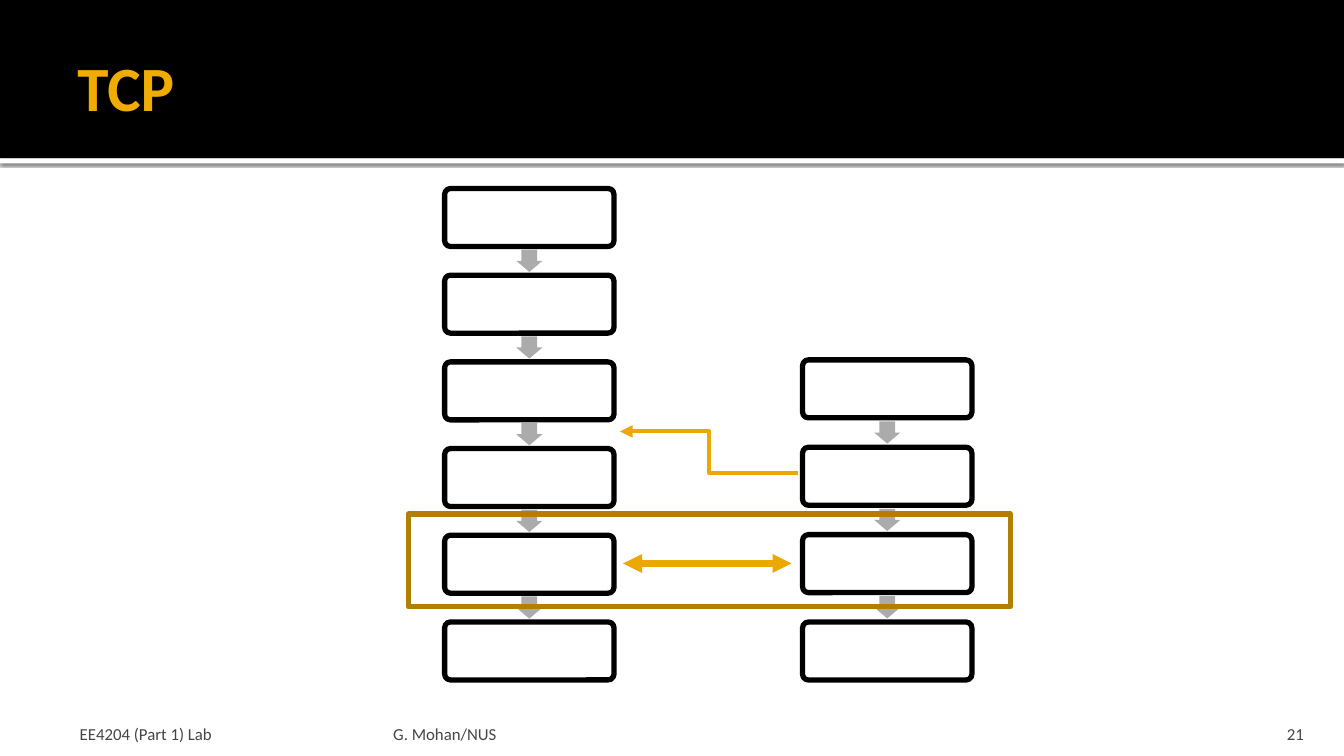
from lxml import etree
from pptx import Presentation
from pptx.dml.color import RGBColor
from pptx.enum.shapes import MSO_CONNECTOR, MSO_SHAPE
from pptx.enum.text import MSO_ANCHOR, PP_ALIGN
from pptx.oxml import parse_xml
from pptx.oxml.ns import qn
from pptx.util import Inches, Pt

RECT, ROUND, ARROW = MSO_SHAPE.RECTANGLE, MSO_SHAPE.ROUNDED_RECTANGLE, MSO_SHAPE.RIGHT_ARROW
ELBOW, LINE = MSO_CONNECTOR.ELBOW, MSO_CONNECTOR.STRAIGHT
LEFT, RIGHT = PP_ALIGN.LEFT, PP_ALIGN.RIGHT
MID, LOW = MSO_ANCHOR.MIDDLE, MSO_ANCHOR.BOTTOM
BLACK, WHITE, GREY, GOLD, BROWN = "000000", "FFFFFF", "ABABAB", "EBA900", "B28000"

# Content: text, place, insets, anchor, alignment, size, colour, bold
TEXTS = [
    ("TCP", (0.67, 0.17, 12, 1.37), (0.1, 0.05, 0.05, 0.05), MID, LEFT, 45, "F0AD00", True),
    ("EE4204 (Part 1) Lab", (0.67, 7.08, 3.11, 0.3), (0.12, 0.05, 0.05, 0), LOW, LEFT, 12, "454545", False),
    ("G. Mohan/NUS", (3.85, 7.08, 8.03, 0.3), (0.05, 0.05, 0.05, 0), LOW, LEFT, 12, "454545", False),
    ("21", (11.96, 7.08, 1.07, 0.3), (0.1, 0.05, 0.1, 0), LOW, RIGHT, 12, "454545", False),
]
# Columns of steps: left, top, pitch, number of boxes
STACKS = [(4.41, 1.87, 0.86, 6), (7.96, 3.57, 0.867, 4)]
BOX_W, BOX_H = 1.68, 0.575
ARROW_W, ARROW_H = 0.22, 0.26
# Links: kind, start and end, width, ends with arrowheads
LINKS = [
    (ELBOW, (7.92, 4.69, 6.15, 4.28), 3, ["tailEnd"]),
    (LINE, (6.18, 5.59, 7.85, 5.59), 4.5, ["headEnd", "tailEnd"]),
]
SHADOW = (
    '<a:outerShdw xmlns:a="http://schemas.openxmlformats.org/drawingml/2006/main"'
    ' blurRad="31750" dist="10160" dir="5400000" algn="t" rotWithShape="0">'
    '<a:srgbClr val="000000"><a:alpha val="60000"/></a:srgbClr></a:outerShdw>'
)

prs = Presentation()
prs.slide_width, prs.slide_height = Inches(13.33), Inches(7.5)
slide = prs.slides.add_slide(prs.slide_layouts[6])
shapes = slide.shapes


def rgb(code):
    return RGBColor.from_string(code)


def shape(kind, at, fill=None, line=None):
    item = shapes.add_shape(kind, *map(Inches, at))
    item.shadow.inherit = False
    if fill:
        item.fill.solid()
        item.fill.fore_color.rgb = rgb(fill)
    else:
        item.fill.background()
    if line:
        item.line.color.rgb = rgb(line)
        item.line.width = Pt(3.78)
    else:
        item.line.fill.background()
    return item


def text(words, at, pads, anchor, align, size, color, bold):
    frame = shapes.add_textbox(*map(Inches, at)).text_frame
    frame.word_wrap = True
    frame.vertical_anchor = anchor
    (frame.margin_left, frame.margin_top,
     frame.margin_right, frame.margin_bottom) = map(Inches, pads)
    para = frame.paragraphs[0]
    para.text = words
    para.alignment = align
    font = para.font
    font.name, font.size, font.bold = "Calibri", Pt(size), bold
    font.color.rgb = rgb(color)


def link(kind, ends, width, heads):
    item = shapes.add_connector(kind, *map(Inches, ends))
    item.line.color.rgb = rgb(GOLD)
    item.line.width = Pt(width)
    ln = item.line._get_or_add_ln()
    for head in heads:
        etree.SubElement(ln, qn("a:" + head), type="triangle")
    etree.SubElement(item._element.spPr, qn("a:effectLst"))


def stack(left, top, pitch, count):
    gap = pitch - BOX_H
    for i in range(count):
        y = top + i * pitch
        box = shape(ROUND, (left, y, BOX_W, BOX_H), WHITE, BLACK)
        box.adjustments[0] = 0.1
        if i < count - 1:
            x = left + (BOX_W - ARROW_W) / 2
            mid = y + BOX_H + gap / 2
            arrow = shape(ARROW, (x, mid - ARROW_H / 2, ARROW_W, ARROW_H), GREY)
            arrow.rotation = 90
            arrow.adjustments[0], arrow.adjustments[1] = 0.6, 0.5


# Header band and its shaded edge
edge = shape(RECT, (0, 1.57, 13.33, 0.05), WHITE)
edge._element.spPr.find(qn("a:effectLst")).append(parse_xml(SHADOW))
shape(RECT, (0, 0, 13.33, 1.57), BLACK)

# Title and footer
for row in TEXTS:
    text(*row)

# Step columns, frame and links
for row in STACKS:
    stack(*row)
shape(RECT, (4.05, 5.1, 5.97, 0.92), line=BROWN)
for row in LINKS:
    link(*row)

prs.save("out.pptx")
